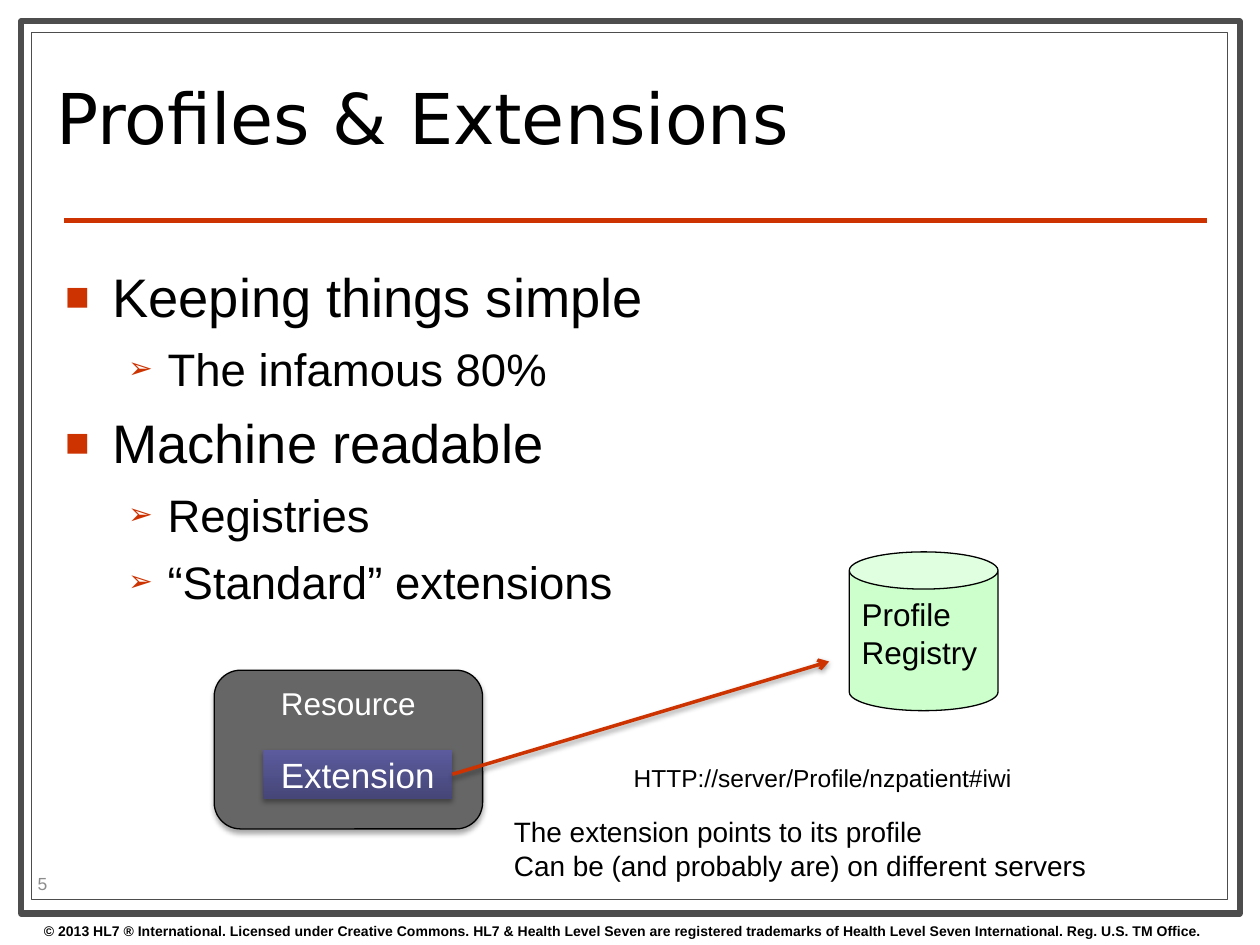
from lxml.etree import SubElement
from pptx import Presentation
from pptx.dml.color import RGBColor
from pptx.enum.shapes import MSO_CONNECTOR as Connector, MSO_SHAPE as Shape
from pptx.enum.text import MSO_ANCHOR as Anchor, PP_ALIGN as Align
from pptx.oxml.ns import qn
from pptx.util import Pt

BLACK = RGBColor(0, 0, 0)
WHITE = RGBColor(255, 255, 255)
FRAME = RGBColor(0x4D, 0x4D, 0x4D)
GRAY = RGBColor(0x66, 0x66, 0x66)
PALE_GRAY = RGBColor(0x8C, 0x8C, 0x8C)
RED = RGBColor(0xCC, 0x33, 0x00)
GREEN = RGBColor(0xCC, 0xFF, 0xCC)
DARK_VIOLET = RGBColor(0x46, 0x46, 0x78)
VIOLET = RGBColor(0x5B, 0x5B, 0x9E)

# Content: frames (place, line width)
FRAMES = [((12.2, 12.2, 696.2, 509.8), 3.5), ((18, 18.7, 683.3, 495.4), 0.75)]

BULLETS = [
    (0, "Keeping things simple"),
    (1, "The infamous 80%"),
    (0, "Machine readable"),
    (1, "Registries"),
    (1, "“Standard” extensions"),
]
# Per level: size, left margin, hanging indent, space before, bullet, bullet %
LEVELS = [(31, 27, 27, 8, "■", 75), (26, 58.5, 22.5, 7, "➢", 65)]

# Text, place, size, options
LABELS = [
    ("© 2013 HL7 ® International. Licensed under Creative Commons. HL7 & Health "
     "Level Seven are registered trademarks of Health Level Seven International. "
     "Reg. U.S. TM Office.", (18, 523.4, 720, 16.6), 8, {"bold": True}),
    ("Profiles & Extensions", (25.2, 25.9, 516.2, 90.7), 40,
     {"font": "DejaVu Sans", "anchor": Anchor.MIDDLE, "spacing": 0.8}),
    ("5", (14.4, 496.1, 56.9, 17.3), 10,
     {"color": PALE_GRAY, "anchor": Anchor.MIDDLE}),
    ("The extension points to its profile\n"
     "Can be (and probably are) on different servers",
     (286.6, 462.2, 345.6, 46.1), 16, {"wrap": False}),
    ("HTTP://server/Profile/nzpatient#iwi", (355, 432.7, 231.8, 24.5), 14,
     {"wrap": False}),
]


def write(shape, text, size, color=BLACK, font="Arial", bold=False, wrap=True,
          align=Align.LEFT, anchor=Anchor.TOP, spacing=None):
    frame = shape.text_frame
    frame.text = text
    frame.word_wrap = wrap
    frame.vertical_anchor = anchor
    for para in frame.paragraphs:
        para.alignment = align
        if spacing:
            para.line_spacing = spacing
        for span in para.runs:
            span.font.name, span.font.size = font, Pt(size)
            span.font.bold, span.font.color.rgb = bold, color


def add_box(page, kind, place, fill=None, line=None, width=0.75):
    box = page.shapes.add_shape(kind, *map(Pt, place))
    box.shadow.inherit = False
    if fill is not None:
        box.fill.solid()
        box.fill.fore_color.rgb = fill
    if line is None:
        box.line.fill.background()
    else:
        box.line.color.rgb, box.line.width = line, Pt(width)
    return box


def add_line(page, start, end, width):
    line = page.shapes.add_connector(Connector.STRAIGHT, *map(Pt, start + end))
    line.line.color.rgb, line.line.width = RED, Pt(width)
    SubElement(line._element.spPr, qn("a:effectLst"))
    return line


def add_shadow(shape, distance, opacity):
    effects = shape._element.spPr.find(qn("a:effectLst"))
    shadow = SubElement(effects, qn("a:outerShdw"), blurRad=str(Pt(3.1)),
                        dist=str(Pt(distance)), dir="5400000", rotWithShape="0")
    color = SubElement(shadow, qn("a:srgbClr"), val=str(BLACK))
    SubElement(color, qn("a:alpha"), val=str(opacity * 1000))


def add_bullet(para, margin, hanging, mark, percent):
    props = para._p.get_or_add_pPr()
    props.set("marL", str(Pt(margin)))
    props.set("indent", str(-Pt(hanging)))
    color = SubElement(props, qn("a:buClr"))
    SubElement(color, qn("a:srgbClr"), val=str(RED))
    SubElement(props, qn("a:buSzPct"), val=str(percent * 1000))
    SubElement(props, qn("a:buFont"), typeface="Arial")
    SubElement(props, qn("a:buChar"), char=mark)


deck = Presentation()
deck.slide_width, deck.slide_height = Pt(720), Pt(540)
page = deck.slides.add_slide(deck.slide_layouts[6])

# Double frame and title rule
for place, width in FRAMES:
    add_box(page, Shape.RECTANGLE, place, WHITE, FRAME, width)
add_line(page, (36.7, 126), (689.8, 126), 3)

# Bulleted list
body = page.shapes.add_textbox(*map(Pt, (30.2, 147, 660.2, 349.8)))
write(body, "\n".join(text for _, text in BULLETS), 31)
for index, (para, (level, _)) in enumerate(zip(body.text_frame.paragraphs, BULLETS)):
    size, margin, hanging, before, mark, percent = LEVELS[level]
    para.level = level
    add_bullet(para, margin, hanging, mark, percent)
    para.space_before = Pt(before if index else 0)
    para.runs[0].font.size = Pt(size)

# Resource holding an extension
resource = add_box(page, Shape.ROUNDED_RECTANGLE, (122.4, 383, 153.4, 90.7), GRAY, BLACK)
write(resource, "Resource", 18, WHITE, align=Align.CENTER)
extension = add_box(page, Shape.RECTANGLE, (150.5, 428.4, 108, 28.1))
extension.fill.gradient()
extension.fill.gradient_angle = 90
for stop, color in zip(extension.fill.gradient_stops, (DARK_VIOLET, VIOLET)):
    stop.color.rgb = color
write(extension, "Extension", 20, WHITE, align=Align.CENTER, anchor=Anchor.MIDDLE)
for box in (resource, extension):
    add_shadow(box, 1.8, 35)

# Arrow from the extension to the registry
arrow = add_line(page, (258.5, 442.5), (473.8, 378), 2)
arrow.begin_connect(extension, 3)
SubElement(arrow.line._get_or_add_ln(), qn("a:tailEnd"), type="arrow")
add_shadow(arrow, 1.6, 38)
registry = add_box(page, Shape.CAN, (485.3, 315.4, 85, 90.7), GREEN, BLACK)
write(registry, "Profile\nRegistry", 18)

# Title, captions and footer
for text, place, size, options in LABELS:
    write(page.shapes.add_textbox(*map(Pt, place)), text, size, **options)

deck.save("out.pptx")
